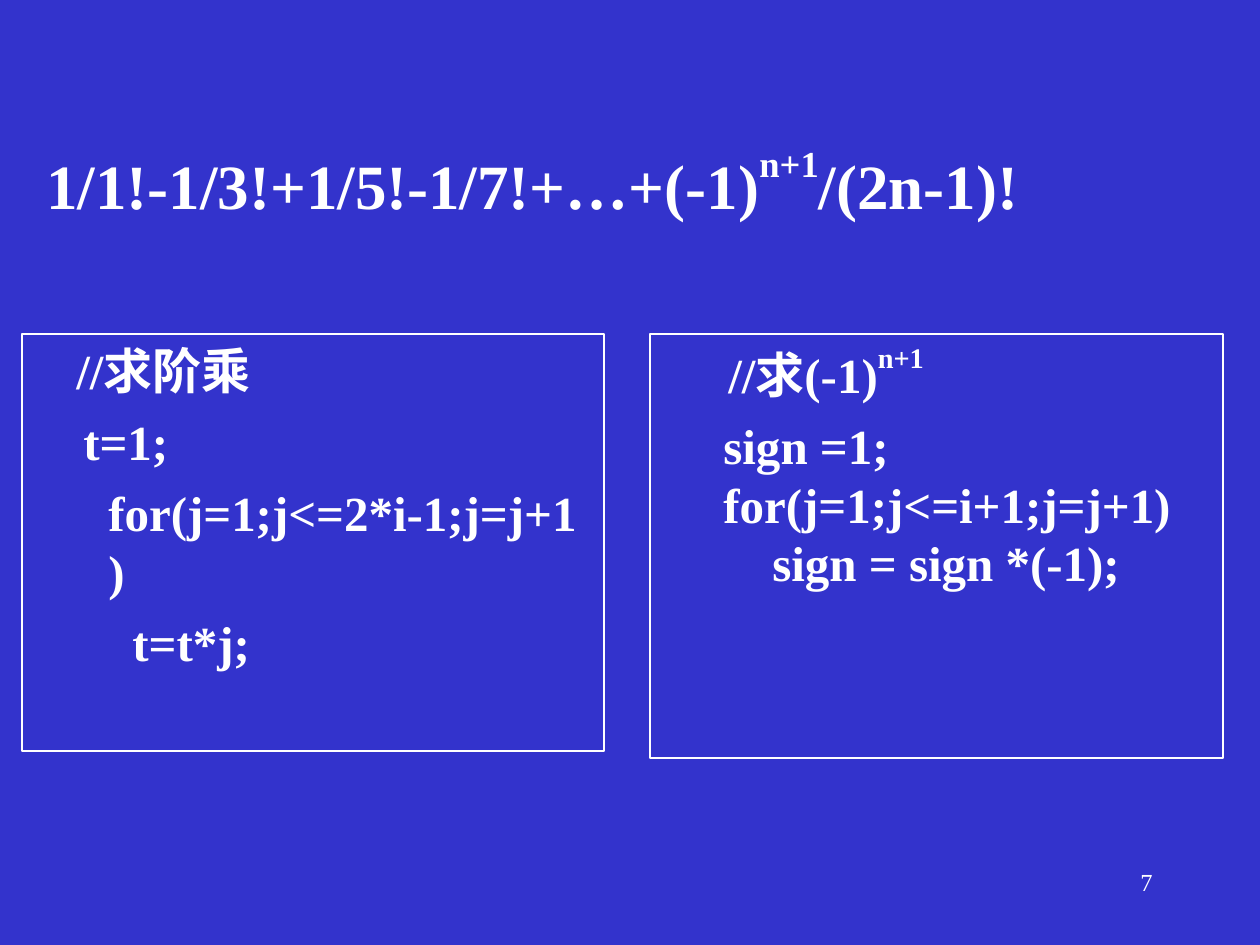
from pptx import Presentation
from pptx import util as u
from pptx.dml.color import RGBColor
from pptx.enum import shapes, text

EMU_PER_PX = 914400 // 126
FONT = "Times New Roman"
COLORS = {"background": "3333CC", "ink": "FFFFFF"}


def px(length):
    return u.Emu(length * EMU_PER_PX)


def color(name):
    return RGBColor.from_string(COLORS[name])


def prepare_frame(shape):
    frame = shape.text_frame
    frame.word_wrap = True
    frame.vertical_anchor = text.MSO_ANCHOR.TOP
    return frame


def write_line(line, parts, size, bold=True, before=0, indent=0):
    line.alignment = text.PP_ALIGN.LEFT
    line.space_before = u.Pt(before)
    properties = line._p.get_or_add_pPr()
    properties.set("marL", str(px(indent)))
    properties.set("indent", "0")
    for position, words in enumerate(parts):
        run = line.add_run()
        run.text = words
        run.font.name = FONT
        run.font.size = u.Pt(size)
        run.font.bold = bold
        run.font.color.rgb = color("ink")
        if position == 1:
            run._r.get_or_add_rPr().set("baseline", "50000")


def add_formula(slide, box):
    formula = prepare_frame(slide.shapes.add_textbox(*map(px, box)))
    parts = ["1/1!-1/3!+1/5!-1/7!+…+(-1)", "n+1", "/(2n-1)!"]
    write_line(formula.paragraphs[0], parts, 36, before=17.5)


def add_code_panel(slide, box, lines):
    panel = slide.shapes.add_shape(shapes.MSO_SHAPE.RECTANGLE, *map(px, box))
    panel.shadow.inherit = False
    panel.fill.background()
    panel.line.color.rgb = color("ink")
    panel.line.width = u.Pt(0.75)
    code = prepare_frame(panel)
    for number, (parts, indent, before) in enumerate(lines):
        line = code.add_paragraph() if number else code.paragraphs[0]
        write_line(line, parts, 28, before=before, indent=indent)


def add_page_number(slide, box):
    number = prepare_frame(slide.shapes.add_textbox(*map(px, box)))
    write_line(number.paragraphs[0], ["7"], 14, bold=False)
    number.paragraphs[0].alignment = text.PP_ALIGN.RIGHT


def main():
    deck = Presentation()
    deck.slide_width, deck.slide_height = px(1260), px(945)
    slide = deck.slides.add_slide(deck.slide_layouts[6])
    slide.background.fill.solid()
    slide.background.fill.fore_color.rgb = color("background")

    factorial = [
        (["//求阶乘"], 42, 7),
        (["t=1;"], 49, 7),
        (["for(j=1;j<=2*i-1;j=j+1)"], 74, 7),
        (["t=t*j;"], 98, 7),
    ]
    sign = [
        (["//求(-1)", "n+1"], 66, 7),
        (["sign =1;"], 61, 7),
        (["for(j=1;j<=i+1;j=j+1)"], 61, 0),
        (["sign = sign *(-1);"], 110, 0),
    ]
    add_code_panel(slide, (22, 334, 582, 417), factorial)
    add_code_panel(slide, (650, 334, 573, 424), sign)
    add_formula(slide, (34, 135, 1181, 152))
    add_page_number(slide, (903, 861, 262, 63))
    deck.save("out.pptx")


if __name__ == "__main__":
    main()
